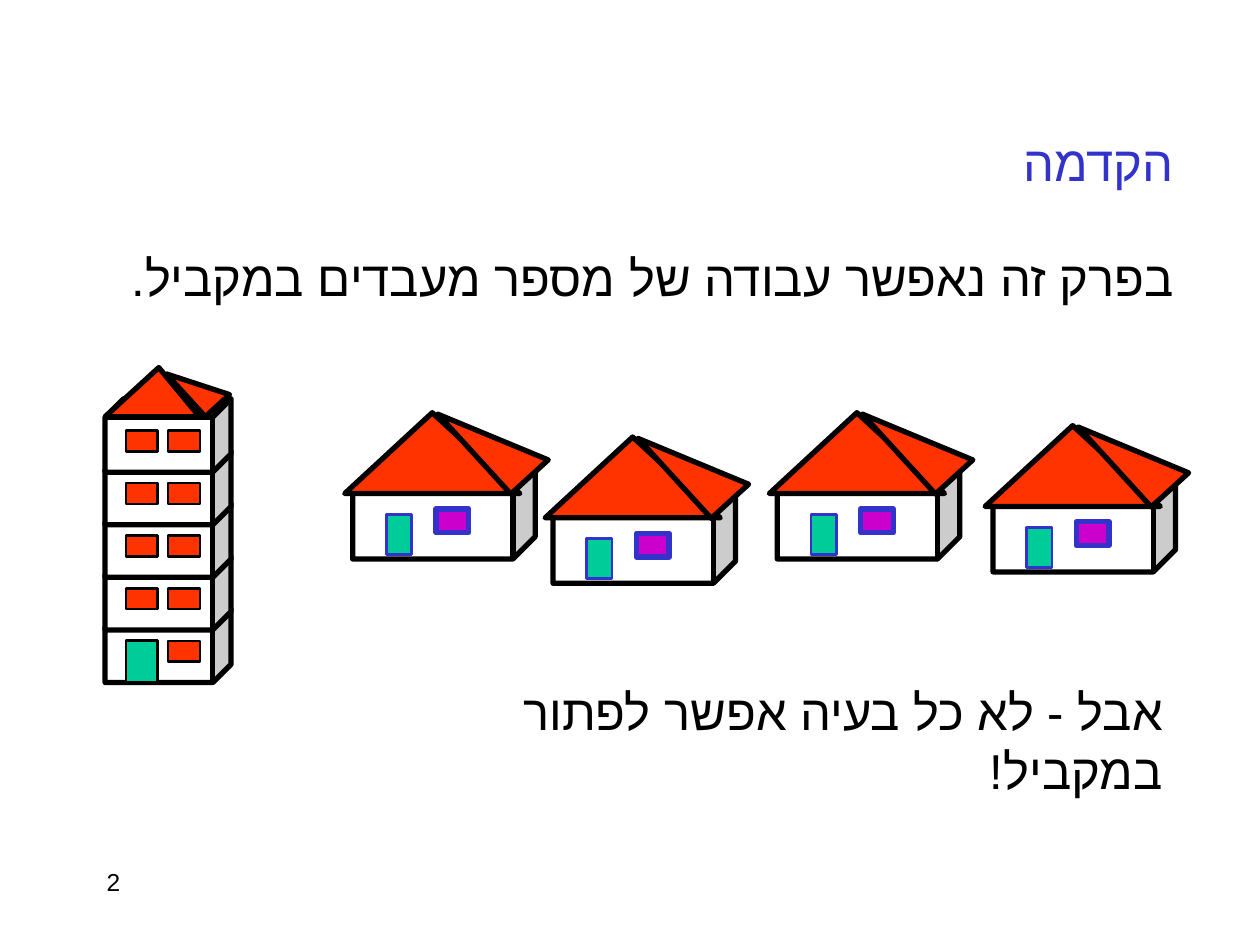
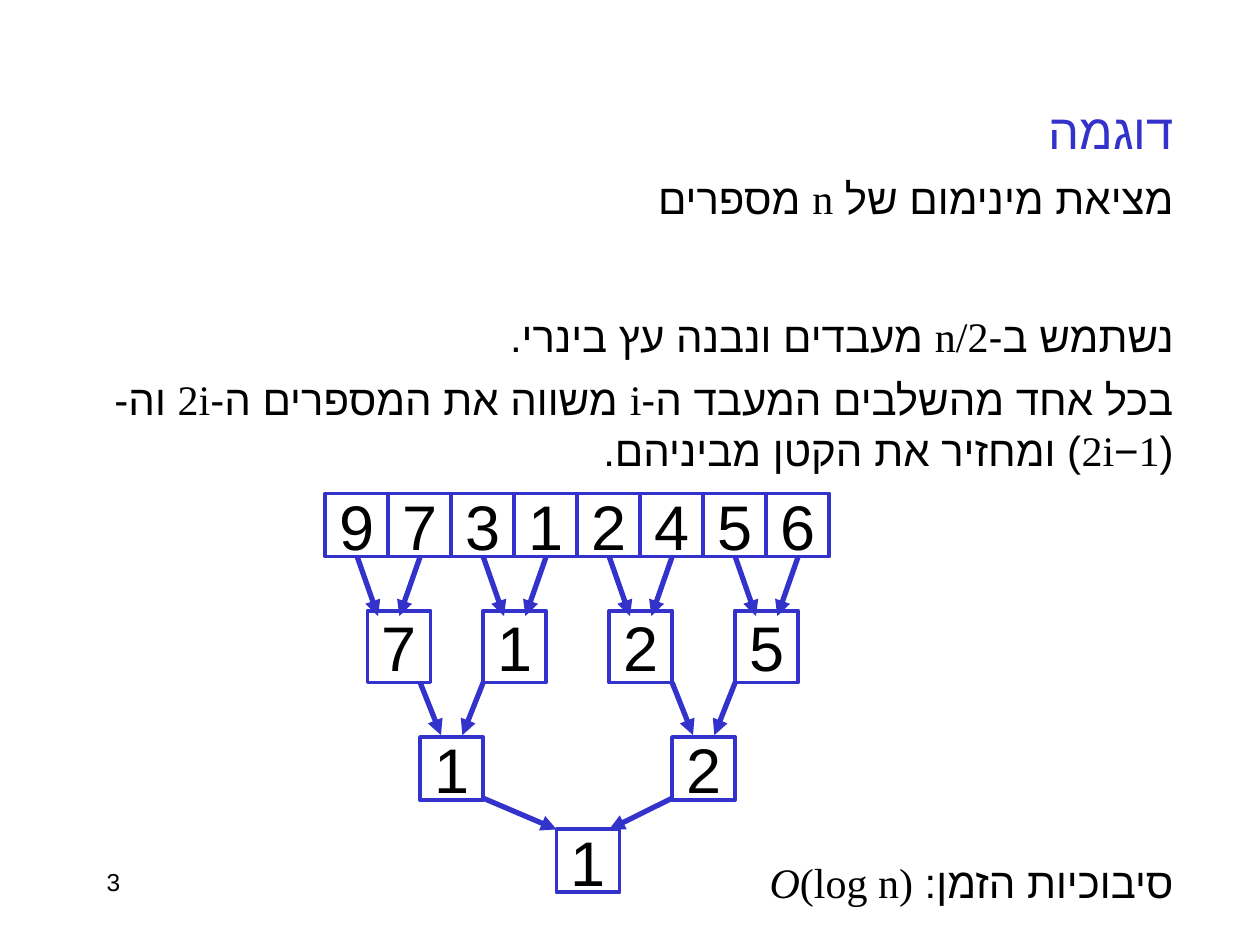
"""Builds two Hebrew slides that introduce parallel processing."""
from dataclasses import dataclass

from lxml import etree
from pptx import Presentation
from pptx.dml.color import RGBColor
from pptx.enum import shapes, text
from pptx.oxml.ns import qn
from pptx.util import Cm, Pt

BLACK = RGBColor(0x00, 0x00, 0x00)
WHITE = RGBColor(0xFF, 0xFF, 0xFF)
BLUE = RGBColor(0x33, 0x33, 0xCC)
RED = RGBColor(0xFF, 0x33, 0x00)
GREEN = RGBColor(0x00, 0xCC, 0x99)
PURPLE = RGBColor(0xCC, 0x00, 0xCC)

SERIF = "Times New Roman"
SANS = "Arial"
RIGHT = text.PP_ALIGN.RIGHT
CUBE = shapes.MSO_SHAPE.CUBE
TRIANGLE = shapes.MSO_SHAPE.ISOSCELES_TRIANGLE
RECTANGLE = shapes.MSO_SHAPE.RECTANGLE
ROOF_TILT = 317.6
CELL = 1.27
STOREY_STEP = 1.06


@dataclass(frozen=True)
class Run:
    """A piece of text with one typeface."""
    words: str
    font: str = SERIF
    italic: bool = False


@dataclass(frozen=True)
class Line:
    """A right-to-left text box, in centimetres."""
    runs: tuple[Run, ...]
    top: float
    left: float = 0.21
    width: float = 23.7
    height: float = 1.27
    size: int = 24
    color: RGBColor = BLACK
    align: text.PP_ALIGN | None = RIGHT
    grows: bool = True


@dataclass(frozen=True)
class Part:
    """A preset shape placed relative to its building, in centimetres."""
    kind: shapes.MSO_SHAPE
    left: float
    top: float
    width: float
    height: float
    fill: RGBColor
    line: RGBColor = BLACK
    weight: float = 3
    rotation: float = 0
    adjustment: float | None = None


@dataclass(frozen=True)
class Level:
    """A row of numbered boxes in the binary tree."""
    values: str
    lefts: tuple[float, ...]
    top: float
    height: float = CELL


@dataclass(frozen=True)
class Arrows:
    """Pairs of arrows that lean towards each other."""
    starts: tuple[float, ...]
    top: float
    bottom: float
    leans: tuple[float, float] = (0.42, -0.42)


HOUSE = (
    Part(CUBE, 0, 0, 3.68, 1.8, WHITE, adjustment=0.25),
    Part(TRIANGLE, -0.16, -1.15, 3.53, 1.63, RED, adjustment=0.5),
    Part(TRIANGLE, 2.32, -1.75, 1.02, 2.18, RED, rotation=ROOF_TILT, adjustment=0),
    Part(RECTANGLE, 0.68, 0.9, 0.51, 0.81, GREEN, BLUE, 1.5),
    Part(RECTANGLE, 1.68, 0.79, 0.66, 0.48, PURPLE, BLUE),
)
HOUSE_CORNERS = ((7.11, 9.47), (11.15, 9.96), (15.67, 9.47), (20.02, 9.73))

TOWER_CORNER = (2.12, 8.04)
TOWER = (
    *(Part(CUBE, 0, floor * STOREY_STEP, 2.54, 1.48, WHITE, adjustment=0.25)
      for floor in reversed(range(5))),
    Part(RECTANGLE, 0.42, 4.87, 0.64, 0.85, GREEN, weight=1.5),
    *(Part(RECTANGLE, left, 0.64 + floor * STOREY_STEP, 0.64, 0.42, RED, weight=1.5)
      for left, floors in ((1.27, 5), (0.42, 4)) for floor in range(floors)),
    Part(TRIANGLE, 0, -0.63, 1.9, 0.99, RED, adjustment=0.57),
    Part(TRIANGLE, 1.54, -0.88, 0.66, 1.17, RED, rotation=ROOF_TILT, adjustment=0),
)

TREE = (
    (Level("97312456", tuple(6.56 + CELL * i for i in range(8)), 9.95), None),
    (Level("7125", (7.41, 9.74, 12.28, 14.82), 12.31, 1.45),
     Arrows(tuple(7.2 + CELL * i for i in range(8)), 11.22, 12.42)),
    (Level("12", (8.47, 13.55), 14.86),
     Arrows((8.47, 9.74, 13.55, 14.82), 13.76, 14.82)),
    (Level("1", (11.22,), 16.72),
     Arrows((9.74, 13.55), 16.09, 16.72, (1.48, -1.27))),
)

INTRODUCTION = (
    Line((Run("הקדמה"),), 2.54, height=1.45, size=28, color=BLUE),
    Line((Run("בפרק זה נאפשר עבודה של מספר מעבדים במקביל."),), 4.87, height=1.45, size=28),
    Line((Run("אבל - לא כל בעיה אפשר לפתור במקביל!"),), 13.61,
         left=7.49, width=16.2, height=2.64, size=28),
)
EXAMPLE = (
    Line((Run("דוגמה"),), 1.9, height=1.45, size=28, color=BLUE),
    Line((Run("מציאת מינימום של n מספרים"),), 3.35),
    Line((Run("נשתמש ב-n/2 מעבדים ונבנה עץ בינרי."),), 6.14),
    Line((Run("בכל אחד מהשלבים המעבד ה-i משווה את המספרים ה-2i וה- (2i"),
          Run("−", SANS), Run("1) ומחזיר את הקטן מביניהם.")), 7.41, height=2.29),
    Line((Run("סיבוכיות הזמן: "), Run("O", italic=True), Run("(log n)")),
         17.15, left=15.08, width=8.83),
)


def write(paragraph, runs: tuple[Run, ...], size: int, color: RGBColor,
          align: text.PP_ALIGN | None) -> None:
    """Fill a right-to-left paragraph run by run."""
    paragraph.alignment = align
    paragraph._p.get_or_add_pPr().set("rtl", "1")
    for piece in runs:
        run = paragraph.add_run()
        run.text = piece.words
        run.font.size = Pt(size)
        run.font.name = piece.font
        run.font.italic = piece.italic
        run.font.color.rgb = color
        etree.SubElement(run._r.get_or_add_rPr(), qn("a:cs"), typeface=SANS)


def add_line(slide, line: Line) -> None:
    """Add a wrapped text box."""
    box = slide.shapes.add_textbox(Cm(line.left), Cm(line.top), Cm(line.width), Cm(line.height))
    frame = box.text_frame
    frame.word_wrap = True
    if line.grows:
        frame.auto_size = text.MSO_AUTO_SIZE.SHAPE_TO_FIT_TEXT
    write(frame.paragraphs[0], line.runs, line.size, line.color, line.align)


def add_part(group, part: Part, corner: tuple[float, float] = (0, 0)):
    """Add one preset shape to a group."""
    shape = group.shapes.add_shape(part.kind, Cm(corner[0] + part.left), Cm(corner[1] + part.top),
                                   Cm(part.width), Cm(part.height))
    shape.shadow.inherit = False
    shape.fill.solid()
    shape.fill.fore_color.rgb = part.fill
    shape.line.color.rgb = part.line
    shape.line.width = Pt(part.weight)
    shape.rotation = part.rotation
    if part.adjustment is not None:
        shape.adjustments[0] = part.adjustment
    return shape


def add_building(slide, parts: tuple[Part, ...], corner: tuple[float, float]) -> None:
    """Add a building as one group."""
    group = slide.shapes.add_group_shape()
    for part in parts:
        add_part(group, part, corner)


def add_level(group, level: Level) -> None:
    """Add the numbered boxes of a tree level."""
    for value, left in zip(level.values, level.lefts):
        box = add_part(group, Part(RECTANGLE, left, level.top, CELL, level.height,
                                   WHITE, BLUE, 2.25))
        frame = box.text_frame
        frame.word_wrap = False
        frame.vertical_anchor = text.MSO_ANCHOR.MIDDLE
        write(frame.paragraphs[0], (Run(value),), 36, BLACK, text.PP_ALIGN.CENTER)


def add_arrows(group, arrows: Arrows) -> None:
    """Add the arrows that lead into a tree level."""
    for index, start in enumerate(arrows.starts):
        end = start + arrows.leans[index % 2]
        arrow = group.shapes.add_connector(shapes.MSO_CONNECTOR.STRAIGHT, Cm(start),
                                           Cm(arrows.top), Cm(end), Cm(arrows.bottom))
        arrow.line.color.rgb = BLUE
        arrow.line.width = Pt(3)
        properties = arrow._element.spPr
        etree.SubElement(properties.find(qn("a:ln")), qn("a:tailEnd"), type="triangle")
        etree.SubElement(properties, qn("a:effectLst"))


def add_slide(presentation, number: int, lines: tuple[Line, ...]):
    """Add a blank slide with its number and text."""
    slide = presentation.slides.add_slide(presentation.slide_layouts[6])
    add_line(slide, Line((Run(str(number)),), 17.35, left=1.9, width=5.28, size=14,
                         align=None, grows=False))
    for line in lines:
        add_line(slide, line)
    return slide


def main() -> None:
    """Build and save the presentation."""
    presentation = Presentation()
    presentation.slide_width = Cm(25.4)
    presentation.slide_height = Cm(19.05)

    introduction = add_slide(presentation, 2, INTRODUCTION)
    for corner in HOUSE_CORNERS:
        add_building(introduction, HOUSE, corner)
    add_building(introduction, TOWER, TOWER_CORNER)

    example = add_slide(presentation, 3, EXAMPLE)
    for level, arrows in TREE:
        group = example.shapes.add_group_shape()
        add_level(group, level)
        if arrows:
            add_arrows(group, arrows)

    presentation.save("out.pptx")


if __name__ == "__main__":
    main()
